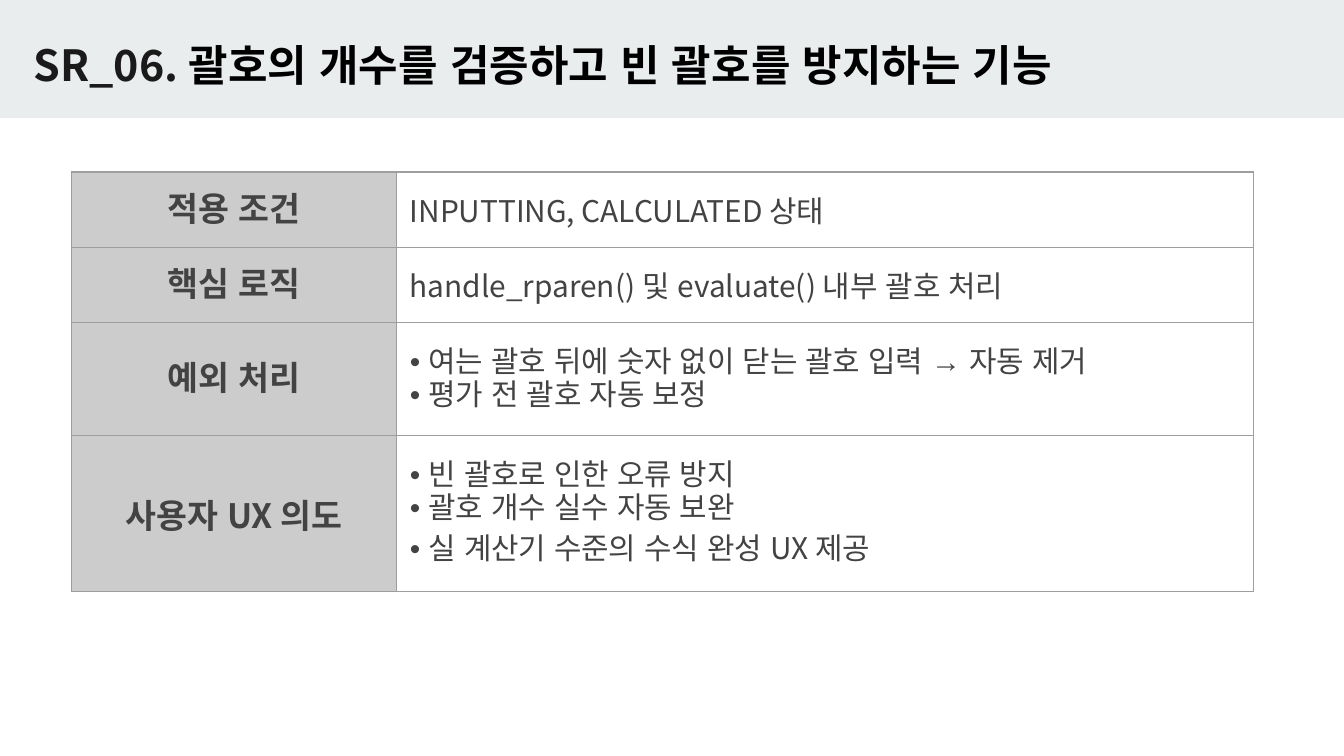
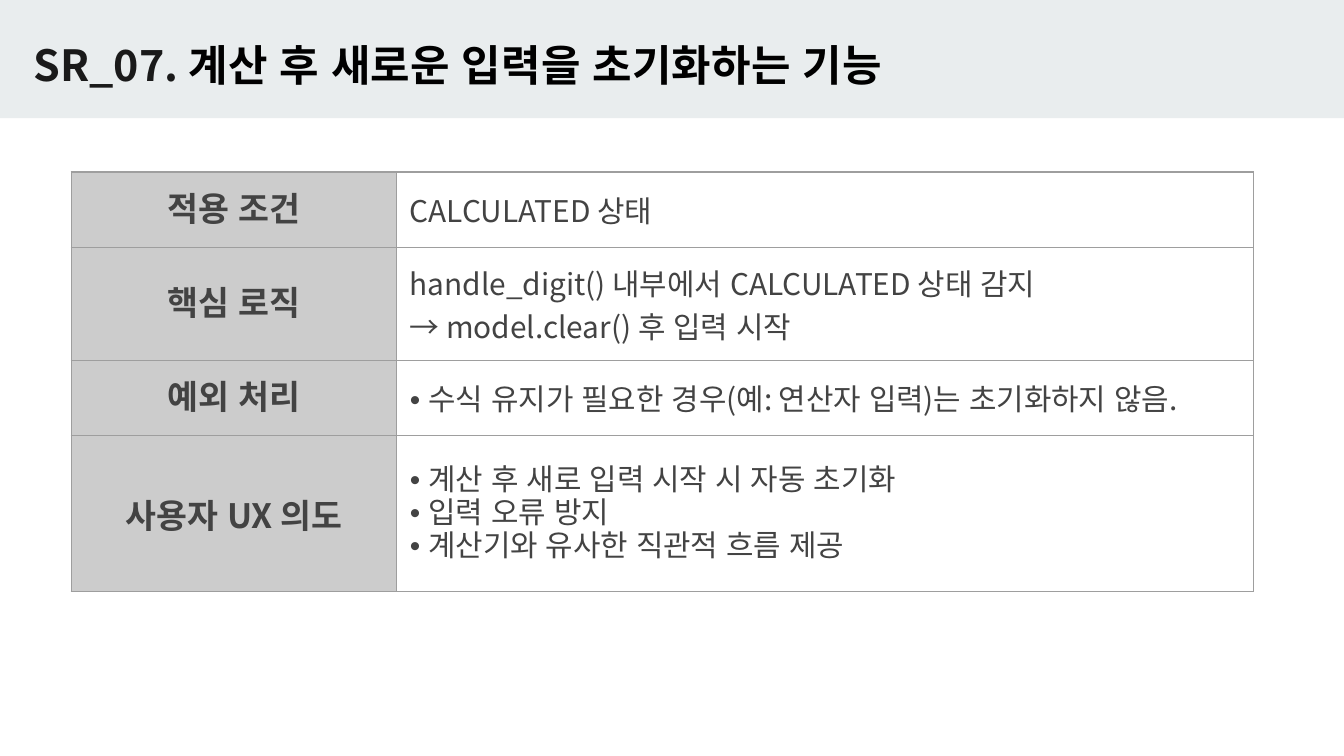
from lxml import etree
from pptx import Presentation
from pptx.dml.color import RGBColor
from pptx.enum.shapes import MSO_SHAPE
from pptx.enum.text import MSO_ANCHOR, MSO_AUTO_SIZE, PP_ALIGN
from pptx.oxml import parse_xml
from pptx.oxml.ns import nsdecls, qn
from pptx.util import Inches, Pt

RECTANGLE = MSO_SHAPE.RECTANGLE
MIDDLE = MSO_ANCHOR.MIDDLE
LEFT, CENTER = PP_ALIGN.LEFT, PP_ALIGN.CENTER
NO_FIT = MSO_AUTO_SIZE.NONE

BAND = RGBColor(0xE9, 0xED, 0xEE)
CODE_INK = RGBColor(0x1A, 0x1A, 0x1A)
TITLE_INK = RGBColor(0x00, 0x00, 0x00)
CELL_INK = RGBColor(0x43, 0x43, 0x43)
LABEL_FILL = RGBColor(0xCC, 0xCC, 0xCC)
RULE = RGBColor(0x9E, 0x9E, 0x9E)

MAIN_FONT = "Noto Sans CJK KR"
TITLE_FONT = "Arial"
EAST_ASIAN_FONT = "Arial"
WIDTH = Inches(10)
HEIGHT = WIDTH * 9 // 16
INSET = Inches(0.1)
TABLE_LEFT, TABLE_TOP = Inches(0.53), Inches(1.28)
COLUMNS = (Inches(2.42), Inches(6.38))
LINE_HEIGHT, MIN_ROW = Inches(0.32), Inches(0.56)
LABELS = ("적용 조건", "핵심 로직", "예외 처리", "사용자 UX 의도")

REQUIREMENTS = (
    ("SR_06. ", "괄호의 개수를 검증하고 빈 괄호를 방지하는 기능", (
        ("INPUTTING, CALCULATED 상태",),
        ("handle_rparen() 및 evaluate() 내부 괄호 처리",),
        ("• 여는 괄호 뒤에 숫자 없이 닫는 괄호 입력 → 자동 제거",
         "• 평가 전 괄호 자동 보정"),
        ("• 빈 괄호로 인한 오류 방지",
         "• 괄호 개수 실수 자동 보완",
         "• 실 계산기 수준의 수식 완성 UX 제공"),
    )),
    ("SR_07. ", "계산 후 새로운 입력을 초기화하는 기능", (
        ("CALCULATED 상태",),
        ("handle_digit() 내부에서 CALCULATED 상태 감지",
         "→ model.clear() 후 입력 시작"),
        ("• 수식 유지가 필요한 경우(예: 연산자 입력)는 초기화하지 않음.",),
        ("• 계산 후 새로 입력 시작 시 자동 초기화",
         "• 입력 오류 방지",
         "• 계산기와 유사한 직관적 흐름 제공"),
    )),
)


def set_font(font, holder, name, size, bold, color):
    """Format a font, including the face named for Korean letters."""
    font.name, font.size, font.bold = name, Pt(size), bold
    font.color.rgb = color
    latin = next(holder.iter(qn("a:latin")))
    latin.addnext(
        parse_xml(f'<a:ea {nsdecls("a")} typeface="{EAST_ASIAN_FONT}"/>'))


def set_insets(frame):
    """Give a cell or text frame equal margins on all sides."""
    frame.margin_left = frame.margin_right = INSET
    frame.margin_top = frame.margin_bottom = INSET


def prepare_layout(deck):
    """Put the title band and the title position on the shared layout."""
    layout = deck.slide_layouts[5]
    title = layout.placeholders[0]
    title.left, title.top = Inches(0.15), Inches(0.18)
    title.width, title.height = Inches(8.41), Inches(0.59)
    page = deck.slides.add_slide(layout)
    band = page.shapes.add_shape(RECTANGLE, 0, 0, WIDTH, Inches(0.88))
    band.shadow.inherit = False
    band.fill.solid()
    band.fill.fore_color.rgb = BAND
    band.line.fill.background()
    band.element.nvSpPr.cNvPr.set("id", "20")
    title.element.addprevious(band.element)
    return layout, page


def write_title(page, code, name):
    """Write the requirement code and name in the title placeholder."""
    frame = page.shapes.title.text_frame
    frame.auto_size, frame.word_wrap = NO_FIT, True
    frame.vertical_anchor = MIDDLE
    set_insets(frame)
    para = frame.paragraphs[0]
    para.alignment = LEFT
    for text, font, color in ((code, MAIN_FONT, CODE_INK),
                              (name, TITLE_FONT, TITLE_INK)):
        span = para.add_run()
        span.text = text
        set_font(span.font, span._r, font, 23, True, color)


def draw_borders(cell):
    """Rule all four sides of a cell."""
    properties = cell._tc.get_or_add_tcPr()
    for side in ("lnL", "lnR", "lnT", "lnB"):
        line = etree.SubElement(properties, qn(f"a:{side}"), w=str(Pt(0.75)))
        fill = etree.SubElement(line, qn("a:solidFill"))
        etree.SubElement(fill, qn("a:srgbClr"), val=str(RULE))


def write_cell(cell, lines, is_label):
    """Fill one cell, as a label or as a description."""
    draw_borders(cell)
    if is_label:
        cell.fill.solid()
        cell.fill.fore_color.rgb = LABEL_FILL
    else:
        cell.fill.background()
    cell.vertical_anchor = MIDDLE
    set_insets(cell)
    cell.text_frame.text = "\n".join(lines)
    for para in cell.text_frame.paragraphs:
        para.alignment = CENTER if is_label else LEFT
        set_font(para.font, para._p, MAIN_FONT, 18 if is_label else 16,
                 is_label, CELL_INK)


def add_details(page, details):
    """Add the table of labels and descriptions."""
    heights = [max(MIN_ROW, 2 * INSET + LINE_HEIGHT * len(lines))
               for lines in details]
    table = page.shapes.add_table(len(LABELS), len(COLUMNS), TABLE_LEFT,
                                  TABLE_TOP, sum(COLUMNS), sum(heights)).table
    table.first_row = table.horz_banding = False
    for column, width in zip(table.columns, COLUMNS):
        column.width = width
    for row, height, label, lines in zip(table.rows, heights, LABELS, details):
        row.height = height
        write_cell(row.cells[0], (label,), True)
        write_cell(row.cells[1], lines, False)


def main():
    """Build one slide for each requirement."""
    deck = Presentation()
    deck.slide_width, deck.slide_height = WIDTH, HEIGHT
    layout, page = prepare_layout(deck)
    for index, (code, name, details) in enumerate(REQUIREMENTS):
        if index:
            page = deck.slides.add_slide(layout)
        write_title(page, code, name)
        add_details(page, details)
    deck.save("out.pptx")


if __name__ == "__main__":
    main()
